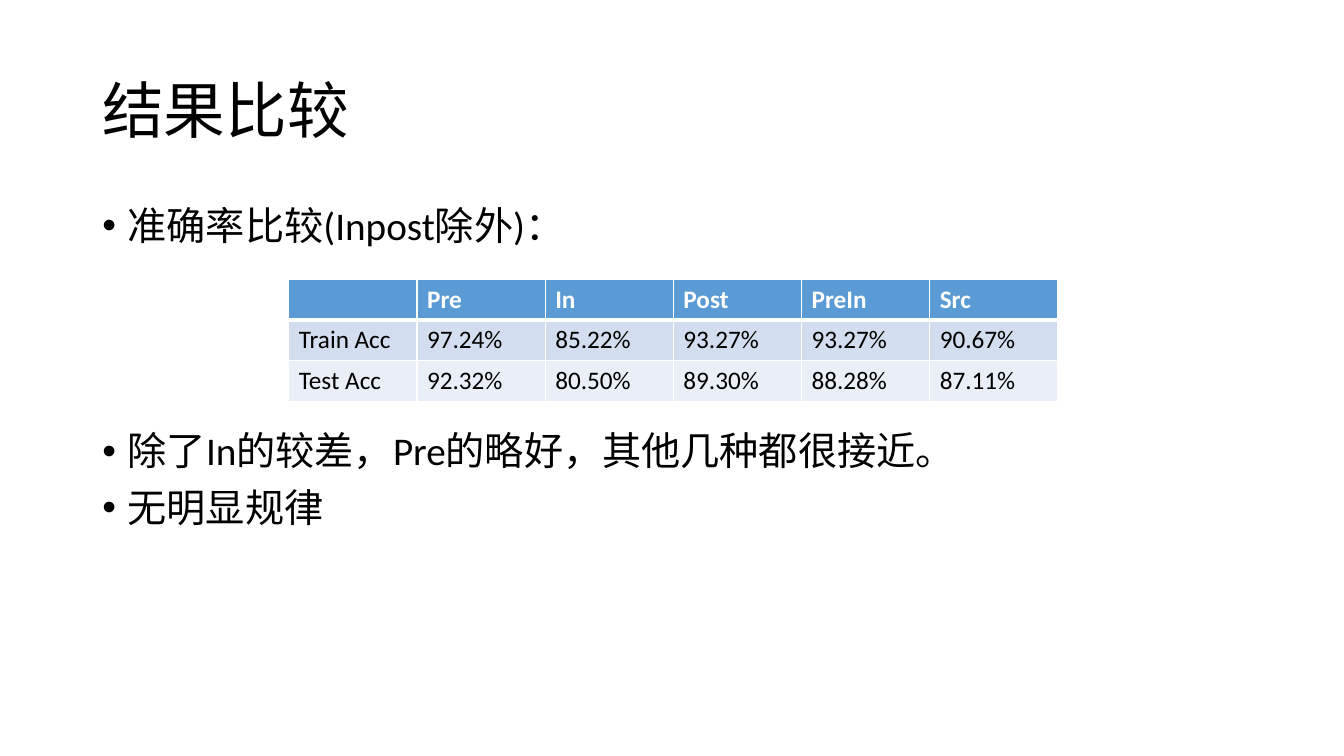
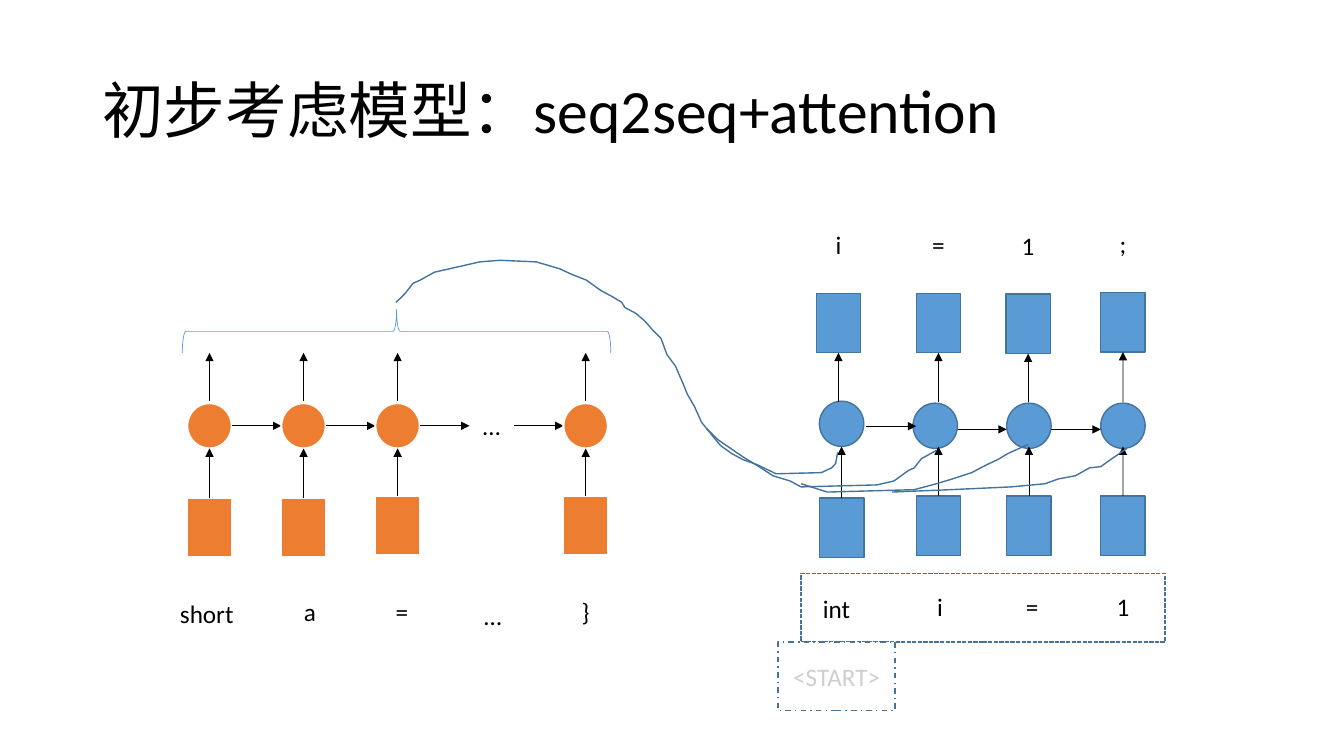
from lxml.etree import SubElement
from pptx import Presentation
from pptx.dml.color import RGBColor
from pptx.enum.dml import MSO_LINE_DASH_STYLE as Dash
from pptx.enum.shapes import MSO_CONNECTOR as Connector, MSO_SHAPE as Shape
from pptx.enum.text import MSO_ANCHOR as Anchor, PP_ALIGN as Align
from pptx.oxml.ns import qn
from pptx.util import Cm, Pt

WHITE = RGBColor(0xFF, 0xFF, 0xFF)
BLACK = RGBColor(0x00, 0x00, 0x00)
GRAY = RGBColor(0xD0, 0xCE, 0xCE)
BLUE = RGBColor(0x5B, 0x9B, 0xD5)
DARK_BLUE = RGBColor(0x43, 0x73, 0x9E)
ORANGE = RGBColor(0xED, 0x7D, 0x31)
BAND_COLORS = [RGBColor(0xD2, 0xDE, 0xEF), RGBColor(0xEA, 0xEF, 0xF7)]

FONT = "Calibri"
MARGIN, CONTENT_WIDTH = 2.33, 29.21

ACCURACY = [
    ["", "Pre", "In", "Post", "PreIn", "Src"],
    ["Train Acc", "97.24%", "85.22%", "93.27%", "93.27%", "90.67%"],
    ["Test Acc", "92.32%", "80.50%", "89.30%", "88.28%", "87.11%"],
]

# Network diagram, in centimetres
NODE_WIDTH, NODE_HEIGHT, BOX_HEIGHT = 1.12, 1.14, 1.5
HALF = NODE_WIDTH / 2
NODE_TOP = 10.16
NODE_MIDDLE = NODE_TOP + NODE_HEIGHT / 2
ENCODER_LEFT, ENCODER_STEP = 4.72, 2.37
# Word, its centre x and y, and the top of its input box (None: left out)
ENCODER_INPUTS = [
    ("short", 5.21, 15.46, 12.55),
    ("a", 7.81, 15.41, 12.55),
    ("=", 10.13, 15.41, 12.5),
    ("…", 12.42, 15.51, None),
    ("}", 14.76, 15.41, 12.5),
]
# Input word, its x and y, node left and top, input box left and top
DECODER_INPUTS = [
    ("int", 21.08, 15.33, 20.65, 10.11, 20.65, 12.55),
    ("i", 23.69, 15.28, 23.01, 10.16, 23.09, 12.5),
    ("=", 26.01, 15.28, 25.37, 10.16, 25.37, 12.5),
    ("1", 28.3, 15.28, 27.74, 10.16, 27.74, 12.5),
]
# Output word, output box left and top
DECODER_OUTPUTS = [("i", 20.57, 7.39), ("=", 23.09, 7.39),
                   ("1", 25.35, 7.41), (";", 27.74, 7.37)]
# Start x, end x and y
DECODER_STEPS = [(21.82, 23.09, 10.74), (24.13, 25.37, 10.82),
                 (26.49, 27.74, 10.82)]
ATTENTION_CURVES = [
    [(9.98, 7.62), (10.19, 7.42), (10.41, 7.14), (10.59, 7.06), (10.95, 6.86),
     (11.3, 6.78), (11.61, 6.71), (12.09, 6.6), (12.6, 6.56), (13.51, 6.6),
     (13.79, 6.68), (14.12, 6.78), (14.4, 6.91), (14.78, 7.06), (15.14, 7.32),
     (15.42, 7.47), (15.67, 7.62), (15.75, 7.75), (16.03, 7.9), (16.26, 8.1),
     (16.46, 8.33), (16.66, 8.53), (16.81, 8.94), (17.02, 9.22), (17.22, 9.68),
     (17.32, 9.93), (17.5, 10.24), (17.68, 10.64), (17.93, 10.95),
     (18.16, 11.23), (18.44, 11.43), (18.72, 11.58), (19.08, 11.71),
     (19.56, 11.94), (20.7, 11.91), (20.96, 11.79), (21.06, 11.68),
     (21.11, 11.4)],
    [(17.81, 10.8), (18.08, 11.07), (18.31, 11.23), (18.72, 11.51),
     (19.13, 11.76), (19.48, 11.99), (19.91, 12.12), (20.19, 12.27),
     (22.1, 12.22), (22.53, 12.12), (22.89, 11.86), (23.04, 11.79),
     (23.22, 11.56), (23.6, 11.35)],
    [(20.19, 12.19), (20.85, 12.4), (23.04, 12.34), (23.6, 12.19),
     (24, 12.07), (24.49, 11.91), (24.87, 11.71), (25.15, 11.58),
     (25.4, 11.43), (25.91, 11.2)],
    [(22.48, 12.4), (23.95, 12.34), (25.48, 12.27), (26.34, 12.19),
     (26.67, 12.07), (27.1, 11.99), (27.46, 11.79), (27.74, 11.76),
     (28.02, 11.56), (28.4, 11.3)],
]


def write_text(paragraph, text, size=18, color=BLACK, bold=False,
               align=Align.LEFT, line_spacing=None, space_before=0):
    paragraph.text = text
    paragraph.alignment = align
    paragraph.line_spacing = line_spacing
    paragraph.space_before = Pt(space_before)
    font = paragraph.font
    font.name, font.size, font.bold = FONT, Pt(size), bold
    font.color.rgb = color


def add_text_frame(slide, left, top, width, height, anchor=Anchor.TOP):
    box = slide.shapes.add_textbox(Cm(left), Cm(top), Cm(width), Cm(height))
    frame = box.text_frame
    frame.word_wrap = True
    frame.vertical_anchor = anchor
    return frame


def add_title(slide, text):
    frame = add_text_frame(slide, MARGIN, 1.01, CONTENT_WIDTH, 3.68, Anchor.MIDDLE)
    write_text(frame.paragraphs[0], text, size=44, line_spacing=0.9)


def add_bullets(slide, items):
    """Add (text, space before) pairs as a bulleted list."""
    frame = add_text_frame(slide, MARGIN, 5.07, CONTENT_WIDTH, 12.09)
    for index, (text, space_before) in enumerate(items):
        paragraph = frame.add_paragraph() if index else frame.paragraphs[0]
        properties = paragraph._p.get_or_add_pPr()
        properties.set("marL", str(Cm(0.64)))
        properties.set("indent", str(-Cm(0.64)))
        SubElement(properties, qn("a:buFont")).set("typeface", "Arial")
        SubElement(properties, qn("a:buChar")).set("char", "•")
        write_text(paragraph, text, size=28, line_spacing=0.9,
                   space_before=space_before)


def set_borders(cell, top, bottom):
    """Draw white borders; top and bottom are widths in points."""
    properties = cell._tc.get_or_add_tcPr()
    for side, width in (("L", 1), ("R", 1), ("T", top), ("B", bottom)):
        line = SubElement(properties, qn("a:ln" + side), w=str(Pt(width)))
        fill = SubElement(line, qn("a:solidFill"))
        SubElement(fill, qn("a:srgbClr"), val=str(WHITE))


def add_table(slide, rows, left, top, column_width, row_height):
    columns = len(rows[0])
    table = slide.shapes.add_table(
        len(rows), columns, Cm(left), Cm(top),
        Cm(column_width * columns), Cm(row_height * len(rows))).table
    for row_index, values in enumerate(rows):
        header = row_index == 0
        for column_index, value in enumerate(values):
            cell = table.cell(row_index, column_index)
            set_borders(cell, top=3 if row_index == 1 else 1,
                        bottom=3 if header else 1)
            cell.fill.solid()
            cell.fill.fore_color.rgb = (
                BLUE if header else BAND_COLORS[(row_index - 1) % 2])
            write_text(cell.text_frame.paragraphs[0], value, bold=header,
                       color=WHITE if header else BLACK)


def add_shape(slide, kind, left, top, width, height, fill=None,
              line=DARK_BLUE, line_width=1, dash=None):
    shape = slide.shapes.add_shape(kind, Cm(left), Cm(top), Cm(width), Cm(height))
    shape.shadow.inherit = False
    if fill is None:
        shape.fill.background()
    else:
        shape.fill.solid()
        shape.fill.fore_color.rgb = fill
    shape.line.color.rgb = line
    shape.line.width = Pt(line_width)
    if dash is not None:
        shape.line.dash_style = dash
    return shape


def add_node(slide, left, top, **style):
    return add_shape(slide, Shape.OVAL, left, top, NODE_WIDTH, NODE_HEIGHT, **style)


def add_box(slide, left, top, **style):
    return add_shape(slide, Shape.FLOWCHART_PROCESS, left, top,
                     NODE_WIDTH, BOX_HEIGHT, **style)


def add_label(slide, text, center_x, center_y, color=BLACK):
    width, height = 2.8, BOX_HEIGHT
    frame = add_text_frame(slide, center_x - width / 2, center_y - height / 2,
                           width, height, Anchor.MIDDLE)
    write_text(frame.paragraphs[0], text, color=color, align=Align.CENTER)


def add_arrow(slide, x1, y1, x2, y2, from_box=None, to_box=None):
    """Draw an arrow, joined to a box's top at its start or bottom at its end."""
    arrow = slide.shapes.add_connector(
        Connector.STRAIGHT, Cm(x1), Cm(y1), Cm(x2), Cm(y2))
    arrow.line.color.rgb = BLACK
    arrow.line.width = Pt(0.5)
    SubElement(arrow.line._get_or_add_ln(), qn("a:tailEnd"), type="triangle")
    SubElement(arrow._element.spPr, qn("a:effectLst"))
    if from_box is not None:
        arrow.begin_connect(from_box, 0)
    if to_box is not None:
        arrow.end_connect(to_box, 2)


def add_curve(slide, points):
    start, *rest = [(Cm(x), Cm(y)) for x, y in points]
    builder = slide.shapes.build_freeform(*start)
    builder.add_line_segments(rest, close=False)
    curve = builder.convert_to_shape()
    curve.shadow.inherit = False
    curve.fill.background()
    curve.line.color.rgb = DARK_BLUE
    curve.line.width = Pt(1)


def add_encoder(slide):
    style = {"fill": ORANGE, "line": WHITE, "line_width": 1.5}
    for index, (word, word_x, word_y, box_top) in enumerate(ENCODER_INPUTS):
        left = ENCODER_LEFT + index * ENCODER_STEP
        middle = left + HALF
        add_label(slide, word, word_x, word_y)
        if index:
            add_arrow(slide, left - ENCODER_STEP + NODE_WIDTH, NODE_MIDDLE,
                      left, NODE_MIDDLE)
        if box_top is None:
            add_label(slide, word, middle, NODE_MIDDLE)
            continue
        add_node(slide, left, NODE_TOP, **style)
        box = add_box(slide, left, box_top, **style)
        add_arrow(slide, middle, box_top, middle, NODE_TOP + NODE_HEIGHT,
                  from_box=box)
        add_arrow(slide, middle, 10.11, middle, 8.89)
    brace = add_shape(slide, Shape.RIGHT_BRACE, 9.45, 2.95, 1.09, 10.8,
                      line=BLUE, line_width=0.5)
    brace.rotation = 270


def add_decoder(slide):
    add_shape(slide, Shape.RECTANGLE, 20.19, 14.45, 9.17, 1.73,
              fill=WHITE, dash=Dash.SQUARE_DOT)
    for word, word_x, word_y, node_left, node_top, left, top in DECODER_INPUTS:
        add_label(slide, word, word_x, word_y)
        add_node(slide, node_left, node_top, fill=BLUE)
        box = add_box(slide, left, top, fill=BLUE)
        add_arrow(slide, left + HALF, top, left + HALF, 11.25, from_box=box)
    for word, left, top in DECODER_OUTPUTS:
        middle = left + HALF
        add_label(slide, word, middle, top - 1.23)
        box = add_box(slide, left, top, fill=BLUE)
        add_arrow(slide, middle, 10.13, middle, top + BOX_HEIGHT, to_box=box)
    for start, end, y in DECODER_STEPS:
        add_arrow(slide, start, y, end, y)
    start_box = add_shape(slide, Shape.RECTANGLE, 19.61, 16.18, 2.95, 1.73,
                          fill=WHITE, dash=Dash.DASH_DOT)
    start_box.text_frame.vertical_anchor = Anchor.MIDDLE
    write_text(start_box.text_frame.paragraphs[0], "<START>", color=GRAY,
               align=Align.CENTER)


def add_results_slide(slide):
    add_title(slide, "结果比较")
    add_bullets(slide, [
        ("准确率比较(Inpost除外)：", 0),
        ("除了In的较差，Pre的略好，其他几种都很接近。", 131),
        ("无明显规律", 10),
    ])
    add_table(slide, ACCURACY, left=7.28, top=7.03, column_width=3.23, row_height=1.03)


def add_model_slide(slide):
    add_title(slide, "初步考虑模型：seq2seq+attention")
    add_encoder(slide)
    add_decoder(slide)
    for points in ATTENTION_CURVES:
        add_curve(slide, points)


def main():
    presentation = Presentation()
    presentation.slide_width, presentation.slide_height = Cm(33.87), Cm(19.05)
    blank = presentation.slide_layouts[6]
    for fill_slide in (add_results_slide, add_model_slide):
        fill_slide(presentation.slides.add_slide(blank))
    presentation.save("out.pptx")


if __name__ == "__main__":
    main()
